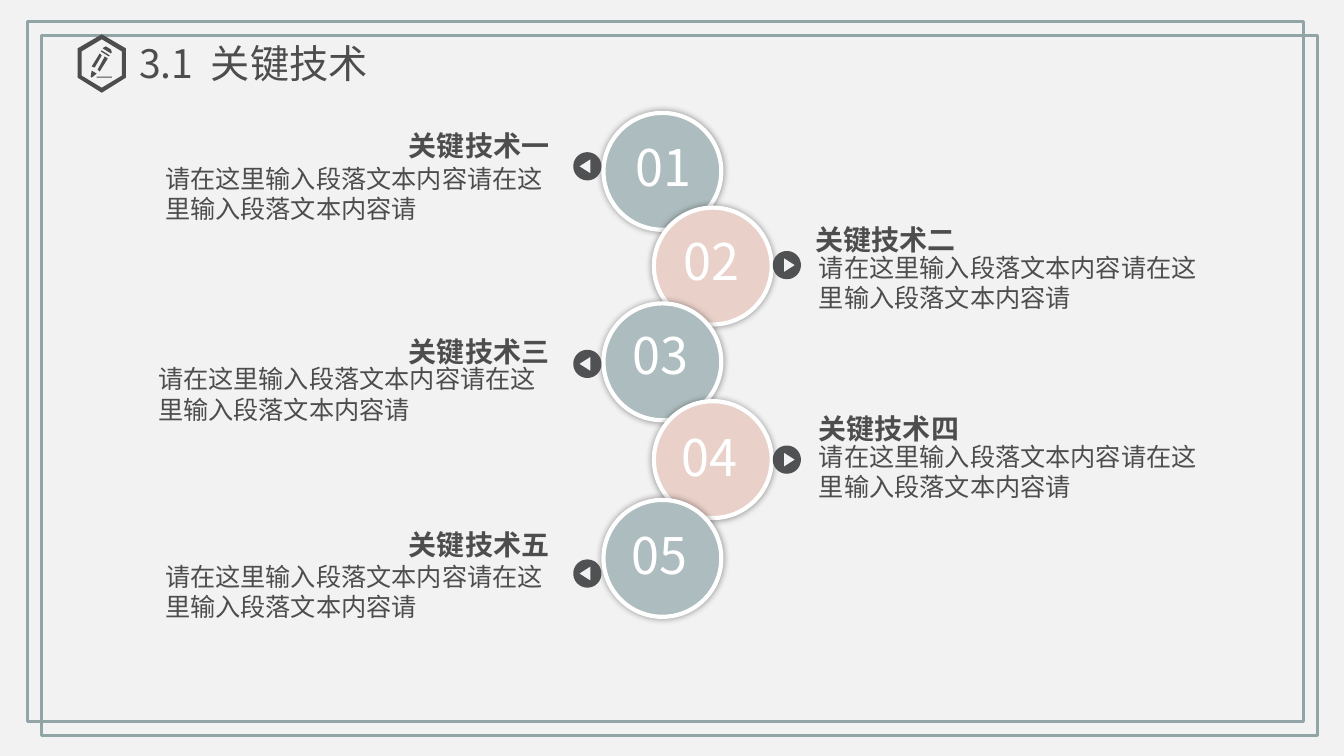
"""Build the key technologies slide: five numbered circles with text on alternating sides."""
from dataclasses import dataclass
from math import cos, pi, sin

from lxml.etree import SubElement
from pptx import Presentation
from pptx.dml.color import RGBColor
from pptx.enum.shapes import MSO_SHAPE
from pptx.enum.text import MSO_ANCHOR, MSO_AUTO_SIZE, PP_ALIGN
from pptx.oxml.ns import qn
from pptx.util import Inches, Pt


@dataclass(frozen=True)
class Theme:
    font: str = "Noto Sans CJK SC"
    paper: RGBColor = RGBColor(0xF2, 0xF2, 0xF2)
    frame: RGBColor = RGBColor(0x91, 0xA5, 0xA7)
    teal: RGBColor = RGBColor(0xAD, 0xBC, 0xBE)
    pink: RGBColor = RGBColor(0xE9, 0xD1, 0xC9)
    white: RGBColor = RGBColor(0xFF, 0xFF, 0xFF)
    badge: RGBColor = RGBColor(0x50, 0x51, 0x53)
    ink: RGBColor = RGBColor(0x4D, 0x4D, 0x4D)
    number: Pt = Pt(36)
    title: Pt = Pt(28)
    heading: Pt = Pt(20)
    body: Pt = Pt(18)


theme = Theme()


def write(tf, text, size, color, align=PP_ALIGN.LEFT, bold=False):
    tf.word_wrap = True
    tf.auto_size = MSO_AUTO_SIZE.NONE
    tf.vertical_anchor = MSO_ANCHOR.TOP
    p = tf.paragraphs[0]
    p.text = text
    p.alignment = align
    p.font.size, p.font.bold, p.font.name = size, bold, theme.font
    p.font.color.rgb = color
    SubElement(p._p.pPr.find(qn("a:defRPr")), qn("a:ea"), typeface=theme.font)
    return p


def add_outline(s, contours, color):
    contours = [[(Inches(x), Inches(y)) for x, y in c] for c in contours]
    builder = s.shapes.build_freeform(*contours[0][0])
    for i, contour in enumerate(contours):
        if i:
            builder.move_to(*contour[0])
        builder.add_line_segments(contour[1:], close=True)
    sp = builder.convert_to_shape()
    sp.shadow.inherit = False
    sp.fill.solid()
    sp.fill.fore_color.rgb = color
    sp.line.fill.background()


prs = Presentation()
prs.slide_width, prs.slide_height = Inches(13.34), Inches(7.5)
s = prs.slides.add_slide(prs.slide_layouts[5])
s.background.fill.solid()
s.background.fill.fore_color.rgb = theme.paper

for left, top in [(0.27, 0.21), (0.41, 0.35)]:
    sp = s.shapes.add_shape(MSO_SHAPE.RECTANGLE, Inches(left), Inches(top), Inches(12.67), Inches(6.95))
    sp.shadow.inherit = False
    sp.fill.background()
    sp.line.color.rgb = theme.frame
    sp.line.width = Pt(2)

title = s.shapes.title
title.left, title.top, title.width, title.height = Inches(1.38), Inches(0.39), Inches(3.99), Inches(0.47)
tf = title.text_frame
tf.margin_left = tf.margin_right = tf.margin_top = tf.margin_bottom = 0
p = write(tf, "3.1", theme.title, theme.ink)
gap = p.add_run()
gap.text = " "
gap._r.get_or_add_rPr().set("spc", "630")
p.add_run().text = "关键技术"

pencil_icon = [
    [(1.01, 0.34), (1.25, 0.48), (1.25, 0.77), (1.01, 0.92), (0.77, 0.77), (0.77, 0.48)],
    [(1.01, 0.39), (1.21, 0.51), (1.21, 0.75), (1.01, 0.87), (0.81, 0.75), (0.81, 0.51)],
    [(0.96, 0.76), (1.11, 0.76), (1.11, 0.77), (0.96, 0.77)],
    [(0.97, 0.69), (1.04, 0.56), (1.07, 0.58), (0.99, 0.71)],
    [(0.91, 0.66), (0.99, 0.53), (1.01, 0.55), (0.94, 0.67)],
    [(0.9, 0.76), (0.91, 0.7), (0.96, 0.73), (0.91, 0.77)],
    [(1.01, 0.5), (1, 0.51), (1.08, 0.56), (1.09, 0.55)],
    [(1.03, 0.47), (1.05, 0.46), (1.1, 0.49), (1.11, 0.52), (1.1, 0.53), (1.02, 0.48)],
]
add_outline(s, pencil_icon, theme.ink)

body = "请在这里输入段落文本内容请在这里输入段落文本内容请"
steps = [
    ("关键技术一", 1.12, 1.65, (6.17, 1.3), (2.01, 1.23, 3.54), (1.54, 1.57, 4.1)),
    ("关键技术二", 2.06, 2.63, (6.65, 2.23), (8, 2.16, 4.26), (8.03, 2.45, 4.05)),
    ("关键技术三", 3.01, 3.61, (6.14, 3.17), (2.01, 3.27, 3.54), (1.47, 3.56, 4.08)),
    ("关键技术四", 3.98, 4.56, (6.63, 4.18), (8.03, 4.03, 3.82), (8.03, 4.33, 4.05)),
    ("关键技术五", 4.96, 5.69, (6.13, 5.15), (2.01, 5.18, 3.54), (1.54, 5.52, 4.1)),
]
for i, (heading, circle_top, badge_y, number_at, heading_at, body_at) in enumerate(steps):
    on_right = i % 2 == 1
    sp = s.shapes.add_shape(MSO_SHAPE.OVAL, Inches(6.49 if on_right else 5.99), Inches(circle_top),
                            Inches(1.17), Inches(1.16))
    sp.fill.solid()
    sp.fill.fore_color.rgb = theme.pink if on_right else theme.teal
    sp.line.color.rgb = theme.white
    sp.line.width = Pt(3)
    sp.shadow.inherit = False
    effects = sp._element.spPr.find(qn("a:effectLst"))
    shadow = SubElement(effects, qn("a:outerShdw"), blurRad=str(Pt(5)), dist="0", dir="0")
    black = SubElement(shadow, qn("a:srgbClr"), val="000000")
    SubElement(black, qn("a:alpha"), val="40000")

    badge_x, side = (7.81, 1) if on_right else (5.83, -1)
    disc = [(badge_x + 0.14 * cos(k * pi / 24), badge_y + 0.14 * sin(k * pi / 24)) for k in range(48)]
    arrow = [(badge_x + side * dx, badge_y + dy) for dx, dy in [(0.08, 0), (-0.03, 0.07), (-0.03, -0.07)]]
    add_outline(s, [disc, arrow], theme.badge)

    heading_align = PP_ALIGN.LEFT if on_right else PP_ALIGN.RIGHT
    for text, (left, top, width), height, size, color, align, bold in [
        (f"{i + 1:02}", (*number_at, 0.83), 0.71, theme.number, theme.white, PP_ALIGN.CENTER, False),
        (body, body_at, 0.71, theme.body, theme.ink, PP_ALIGN.LEFT, False),
        (heading, heading_at, 0.44, theme.heading, theme.ink, heading_align, True),
    ]:
        box = s.shapes.add_textbox(Inches(left), Inches(top), Inches(width), Inches(height))
        write(box.text_frame, text, size, color, align, bold)

prs.save("out.pptx")
